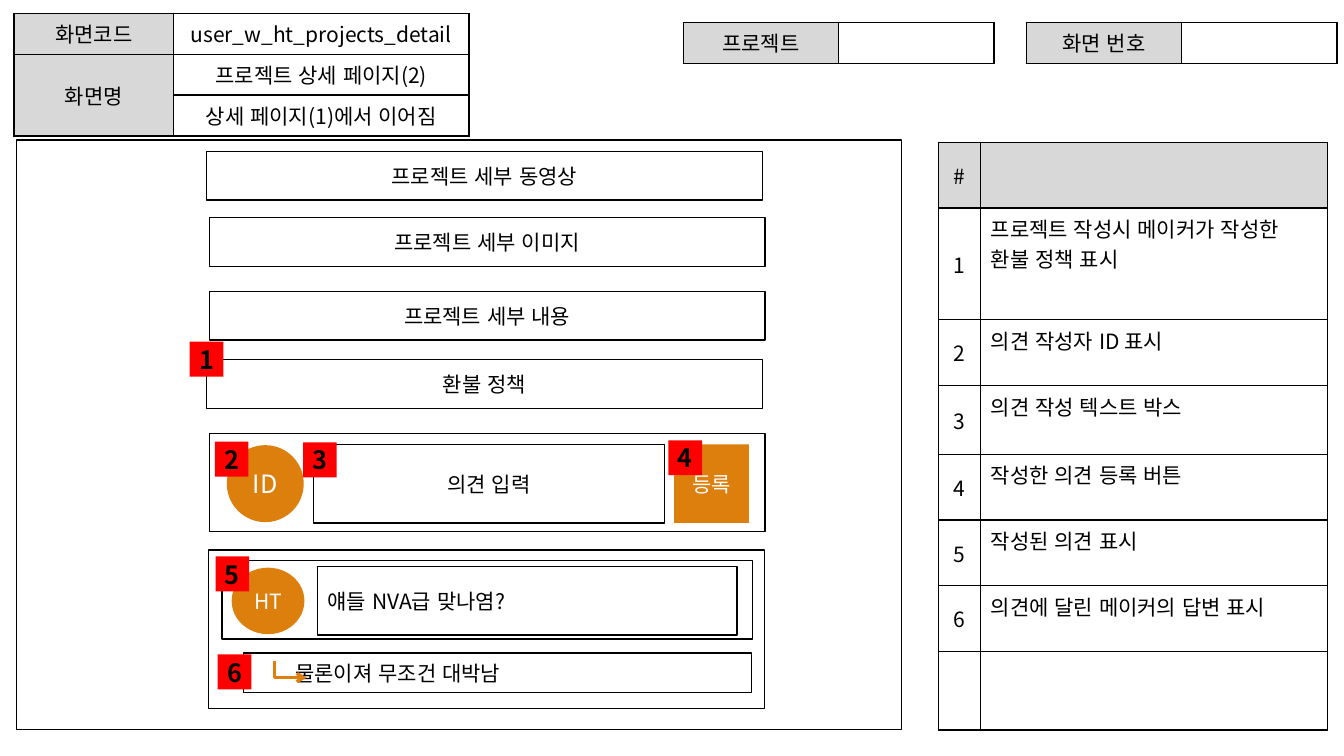
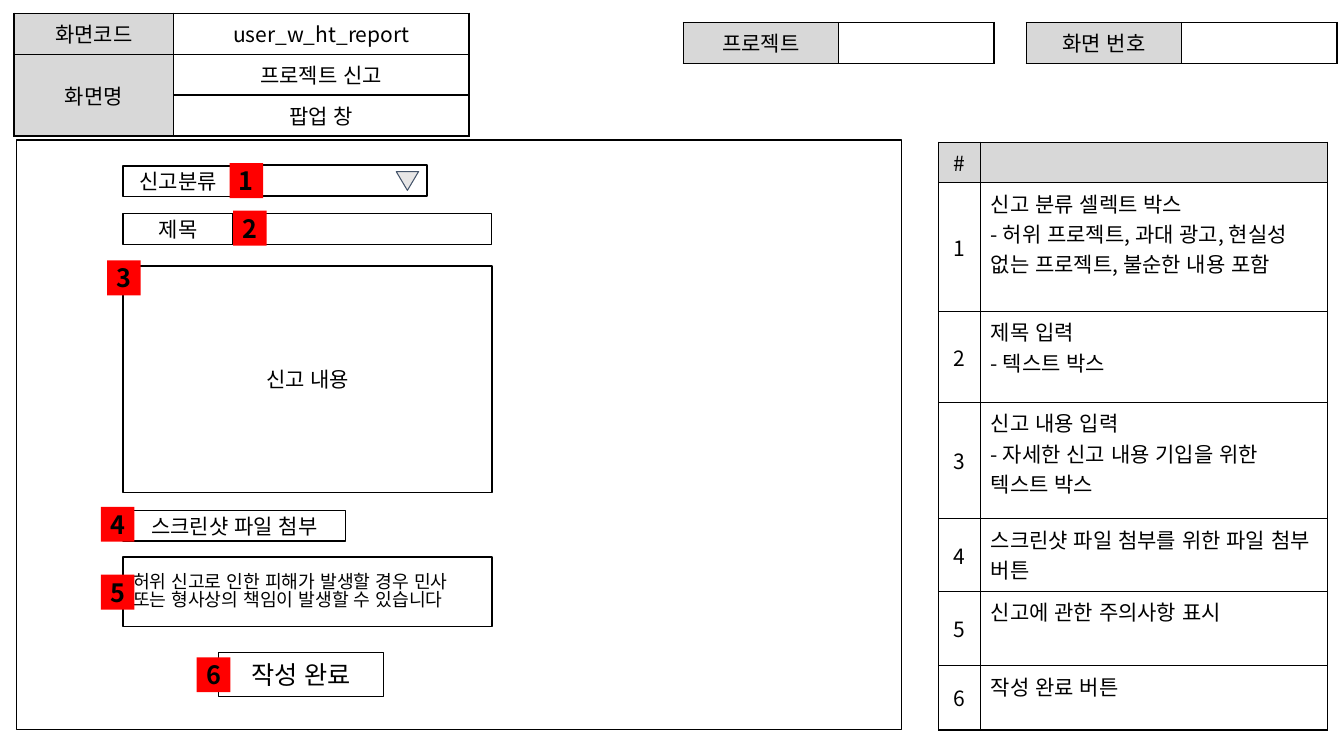
import pptx
import pptx.util
import pptx.dml.color
import pptx.enum.dml
import pptx.enum.lang
import pptx.enum.shapes
import pptx.enum.text
import pptx.oxml.ns
from lxml import etree

Pt = pptx.util.Pt
qn = pptx.oxml.ns.qn
SHAPE = pptx.enum.shapes.MSO_SHAPE
ALIGN = pptx.enum.text.PP_ALIGN
ANCHOR = pptx.enum.text.MSO_ANCHOR

FONT = "Noto Sans CJK KR"
COLORS = {
    "ink": "000000",
    "paper": "FFFFFF",
    "label": "D8D8D8",
    "badge": "FF0000",
    "accent": "DC7F0D",
    "arrow_fill": "E7E6E6",
    "arrow_line": "44546A",
}
HEADER_ROW = 29.2
BADGE_SIZE = (24, 25)


def rgb(name):
    return pptx.dml.color.RGBColor.from_string(COLORS[name])


def write(frame, text, size=15, color="ink", bold=False, align=ALIGN.CENTER, spacing=None):
    frame.word_wrap = True
    for index, line in enumerate(text.split("\n")):
        paragraph = frame.paragraphs[0] if index == 0 else frame.add_paragraph()
        paragraph.alignment = align
        if spacing:
            paragraph.line_spacing = spacing
        if not line:
            etree.SubElement(paragraph._p, qn("a:endParaRPr"), sz=str(size * 100))
            continue
        run = paragraph.add_run()
        run.text = line
        font = run.font
        font.name = FONT
        font.size = Pt(size)
        font.bold = bold
        font.color.rgb = rgb(color)
        font.language_id = pptx.enum.lang.MSO_LANGUAGE_ID.KOREAN
        etree.SubElement(font._element, qn("a:ea"), typeface=FONT)


def add_box(slide, bounds, text="", fill=None, line="ink", line_width=1,
            kind=SHAPE.RECTANGLE, inset=7.2, **text_format):
    box = slide.shapes.add_shape(kind, *map(Pt, bounds))
    box.shadow.inherit = False
    if fill:
        box.fill.solid()
        box.fill.fore_color.rgb = rgb(fill)
    else:
        box.fill.background()
    if line:
        box.line.color.rgb = rgb(line)
        box.line.width = Pt(line_width)
    else:
        box.line.fill.background()
    if text:
        frame = box.text_frame
        frame.margin_left = Pt(inset)
        frame.margin_right = Pt(min(inset, 7.2))
        frame.vertical_anchor = ANCHOR.MIDDLE
        write(frame, text, **text_format)
    return box


def add_badges(slide, corners):
    for number, corner in enumerate(corners, 1):
        add_box(slide, corner + BADGE_SIZE, str(number), fill="badge", line=None,
                inset=0, size=18, bold=True)


def add_reply_arrow(slide, start, end):
    arrow = slide.shapes.add_connector(
        pptx.enum.shapes.MSO_CONNECTOR.ELBOW, *map(Pt, start + end))
    arrow.line.color.rgb = rgb("accent")
    arrow.line.width = Pt(2.25)
    etree.SubElement(arrow.line._get_or_add_ln(), qn("a:tailEnd"), type="arrow")
    properties = arrow._element.spPr
    guides = properties.find(qn("a:prstGeom")).find(qn("a:avLst"))
    etree.SubElement(guides, qn("a:gd"), name="adj1", fmla="val 0")
    etree.SubElement(properties, qn("a:effectLst"))


def style_cell(cell, fill):
    properties = cell._tc.get_or_add_tcPr()
    for side in ("lnL", "lnR", "lnT", "lnB"):
        border = etree.SubElement(properties, qn("a:" + side), w=str(Pt(1)))
        solid = etree.SubElement(border, qn("a:solidFill"))
        etree.SubElement(solid, qn("a:srgbClr"), val=COLORS["ink"])
    cell.fill.solid()
    cell.fill.fore_color.rgb = rgb(fill)


def add_grid(slide, corner, widths, heights, rows, is_label, left_aligned=False):
    bounds = corner + (sum(widths), sum(heights))
    table = slide.shapes.add_table(len(heights), len(widths), *map(Pt, bounds)).table
    table.first_row = table.horz_banding = False
    for column, width in zip(table.columns, widths):
        column.width = Pt(width)
    for row, height in zip(table.rows, heights):
        row.height = Pt(height)
    for r, texts in enumerate(rows):
        for c, text in enumerate(texts):
            cell = table.cell(r, c)
            style_cell(cell, "label" if is_label(r, c) else "paper")
            description = left_aligned and c == 1
            cell.vertical_anchor = ANCHOR.TOP if description else ANCHOR.MIDDLE
            write(cell.text_frame, text, align=ALIGN.LEFT if description else ALIGN.CENTER)
    return table


def first_column(r, c):
    return c == 0


def first_row(r, c):
    return r == 0


def add_screen(deck, code, name, detail, guide_heights, descriptions):
    slide = deck.slides.add_slide(deck.slide_layouts[6])
    heading = add_grid(slide, (10, 9.5), (114, 211), [HEADER_ROW] * 3,
                       [("화면코드", code), ("화면명", name), ("", detail)], first_column)
    heading.cell(1, 0).merge(heading.cell(2, 0))
    for left, label in ((733, "화면 번호"), (488, "프로젝트")):
        add_grid(slide, (left, 16), (111, 111), [HEADER_ROW], [(label, "")], first_column)
    rows = [("#", "")]
    rows += [(str(number), text) for number, text in enumerate(descriptions, 1)]
    rows += [("", "")] * (len(guide_heights) - len(rows))
    add_grid(slide, (670.5, 101.5), (30, 248), guide_heights, rows, first_row, left_aligned=True)
    add_box(slide, (12, 100, 632, 421))
    return slide


def add_detail_screen(deck):
    slide = add_screen(
        deck, "user_w_ht_projects_detail", "프로젝트 상세 페이지(2)", "상세 페이지(1)에서 이어짐",
        (47, 80, 47, 49, 47, 47, 47, 56),
        ("프로젝트 작성시 메이커가 작성한 환불 정책 표시", "의견 작성자 ID 표시",
         "의견 작성 텍스트 박스", "작성한 의견 등록 버튼", "작성된 의견 표시",
         "의견에 달린 메이커의 답변 표시"))
    for left, top, section in (
            (147.5, 108, "프로젝트 세부 동영상"), (149.5, 155.5, "프로젝트 세부 이미지"),
            (149.5, 208, "프로젝트 세부 내용"), (147.5, 257, "환불 정책")):
        add_box(slide, (left, top, 397, 35), section)

    add_box(slide, (149, 393, 397, 113))
    add_box(slide, (158.5, 400.5, 379, 56))
    add_box(slide, (174, 466.5, 363, 28), "물론이져 무조건 대박남", inset=37, align=ALIGN.LEFT)
    add_box(slide, (149.5, 309.5, 397, 70))
    add_box(slide, (224, 317.5, 250.5, 56), "의견 입력")
    add_box(slide, (227, 404.5, 299.5, 49), "얘들 NVA급 맞나염?", align=ALIGN.LEFT)
    for bounds, text, kind, size in (
            ((162, 318, 55, 55), "ID", SHAPE.OVAL, 18),
            ((481.5, 317.5, 53.5, 56), "등록", SHAPE.RECTANGLE, 15),
            ((165.5, 405.5, 52, 47.5), "HT", SHAPE.OVAL, 15)):
        add_box(slide, bounds, text, fill="accent", line=None, kind=kind, inset=0,
                size=size, color="paper")
    add_badges(slide, ((135.5, 244), (153.5, 315.5), (216.5, 316),
                       (477.5, 314.5), (154, 397.5), (155.5, 467.5)))
    add_reply_arrow(slide, (196, 472.5), (219, 484))


def add_report_screen(deck):
    slide = add_screen(
        deck, "user_w_ht_report", "프로젝트 신고", "팝업 창",
        (29, 92, 65, 83, 52, 53, 46),
        ("신고 분류 셀렉트 박스\n- 허위 프로젝트, 과대 광고, 현실성 없는 프로젝트, 불순한 내용 포함",
         "제목 입력\n- 텍스트 박스",
         "신고 내용 입력\n- 자세한 신고 내용 기입을 위한 텍스트 박스",
         "스크린샷 파일 첨부를 위한 파일 첨부 버튼", "신고에 관한 주의사항 표시", "작성 완료 버튼"))
    for bounds, text, text_format in (
            ((156, 466, 118, 31.5), "작성 완료", {"size": 18}),
            ((175.5, 152.5, 175.5, 22), "", {}),
            ((175.5, 118, 129.5, 22), "", {}),
            ((88, 152.5, 78.5, 22), "제목", {}),
            ((88, 190, 263.5, 162), "신고 내용", {}),
            ((88, 364.5, 159, 22), "스크린샷 파일 첨부", {}),
            ((88, 118.5, 78.5, 22), "신고분류", {}),
            ((88, 398, 263.5, 49.5),
             "허위 신고로 인한 피해가 발생할 경우 민사 또는 형사상의 책임이 발생할 수 있습니다",
             {"size": 13, "align": ALIGN.LEFT, "spacing": 0.85})):
        add_box(slide, bounds, text, fill="paper", **text_format)
    dropdown = add_box(slide, (283, 122.5, 16, 13.5), fill="arrow_fill", line="arrow_line",
                       line_width=0.75, kind=SHAPE.ISOSCELES_TRIANGLE)
    dropdown.rotation = 180
    add_badges(slide, ((164, 116.5), (166.5, 150.5), (76.5, 186),
                       (72, 362), (72, 410.5), (140.5, 469.5)))


def main():
    deck = pptx.Presentation()
    deck.slide_width, deck.slide_height = Pt(960), Pt(540)
    add_detail_screen(deck)
    add_report_screen(deck)
    deck.save("out.pptx")


if __name__ == "__main__":
    main()
